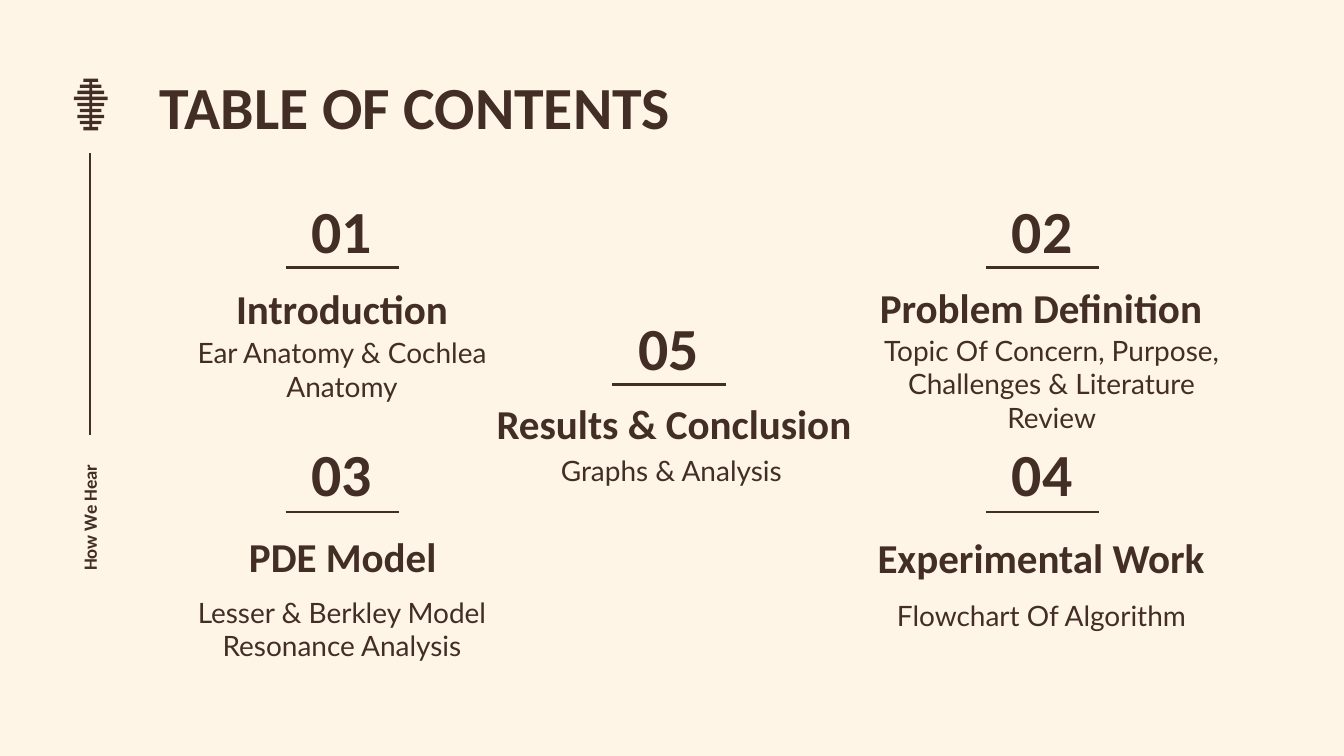
from pptx import Presentation
from pptx.dml.color import RGBColor
from pptx.enum.shapes import MSO_CONNECTOR
from pptx.enum.text import MSO_ANCHOR, PP_ALIGN
from pptx.util import Emu, Pt
from lxml import etree

PX = 4572
BROWN = "422E25"
CREAM = "FFF5E7"
DRAWING = "http://schemas.openxmlformats.org/drawingml/2006/main"
NUMBER = {"name": "Calibri", "size": Pt(32), "bold": True}
HEADING = {"name": "Calibri", "size": Pt(22), "bold": True}
DETAIL = {"name": "Lato", "size": Pt(15), "bold": False}
FOOTER = {"name": "Calibri", "size": Pt(10), "bold": True}


def add_text(area, lines, style, align=PP_ALIGN.CENTER, anchor=MSO_ANCHOR.MIDDLE):
    box = page.shapes.add_textbox(*[Emu(value * PX) for value in area])
    frame = box.text_frame
    layout = {"word_wrap": True, "vertical_anchor": anchor}
    for side in ("left", "top", "right", "bottom"):
        layout[f"margin_{side}"] = Emu(20 * PX)
    for name, value in layout.items():
        setattr(frame, name, value)
    for index, line in enumerate(lines):
        para = frame.add_paragraph() if index else frame.paragraphs[0]
        para.alignment = align
        span = para.add_run()
        span.text = line
        for name, value in style.items():
            setattr(span.font, name, value)
        span.font.color.rgb = RGBColor.from_string(BROWN)
    return box


def add_rule(*ends):
    rule = page.shapes.add_connector(
        MSO_CONNECTOR.STRAIGHT, *[Emu(value * PX) for value in ends]
    )
    rule.line.color.rgb = RGBColor.from_string(BROWN)
    rule.line.width = Pt(1.5)
    etree.SubElement(rule._element.spPr, f"{{{DRAWING}}}effectLst")


deck = Presentation()
deck.slide_width = Emu(2000 * PX)
deck.slide_height = Emu(1125 * PX)
page = deck.slides.add_slide(deck.slide_layouts[6])
page.background.fill.solid()
page.background.fill.fore_color.rgb = RGBColor.from_string(CREAM)

add_rule(134, 228, 134, 648)

spine_x, spine_half, first_bar, bar_step, bar_height = 135, 2, 117, 9, 5
right_edge = []
for index, reach in enumerate([11, 16, 20, 25, 20, 16, 20, 16, 11]):
    top = first_bar + index * bar_step
    bottom = top + bar_height
    right_edge += [(spine_half, top), (reach, top), (reach, bottom), (spine_half, bottom)]
outline = [(spine_x + x, y) for x, y in right_edge]
outline += [(spine_x - x, y) for x, y in reversed(right_edge)]
builder = page.shapes.build_freeform(*outline[0], scale=PX)
builder.add_line_segments(outline[1:], close=True)
icon = builder.convert_to_shape()
icon.shadow.inherit = False
icon.fill.solid()
icon.fill.fore_color.rgb = RGBColor.from_string(BROWN)
icon.line.fill.background()

add_text((218, 84, 1624, 130), ["TABLE OF CONTENTS"], NUMBER, PP_ALIGN.LEFT, MSO_ANCHOR.TOP)
footer = add_text((10, 716, 246, 60), ["How We Hear"], FOOTER, PP_ALIGN.LEFT)
footer.rotation = 270

sections = [
    ("01", (430, 284), 398, "Introduction", (218, 418, 582),
     ["Ear Anatomy & Cochlea Anatomy"], (218, 492, 582, 116)),
    ("02", (1472, 284), 398, "Problem Definition", (1258, 416, 582),
     ["Topic Of Concern, Purpose, Challenges & Literature Review"], (1274, 494, 582, 154)),
    ("03", (430, 646), 762, "PDE Model", (219, 786, 582),
     ["Lesser & Berkley Model", "Resonance Analysis"], (218, 860, 582, 152)),
    ("04", (1472, 646), 762, "Experimental Work", (1258, 788, 582),
     ["Flowchart Of Algorithm"], (1243, 860, 614, 112)),
    ("05", (916, 458), 572, "Results & Conclusion", (692, 588, 622),
     ["Graphs & Analysis"], (708, 638, 582, 124)),
]
for number, (left, top), rule_y, heading, heading_area, details, detail_area in sections:
    add_text((left, top, 158, 116), [number], NUMBER)
    add_rule(left - 5, rule_y, left + 164, rule_y)
    add_text((*heading_area, 82), [heading], HEADING)
    add_text(detail_area, details, DETAIL)

deck.save("out.pptx")
